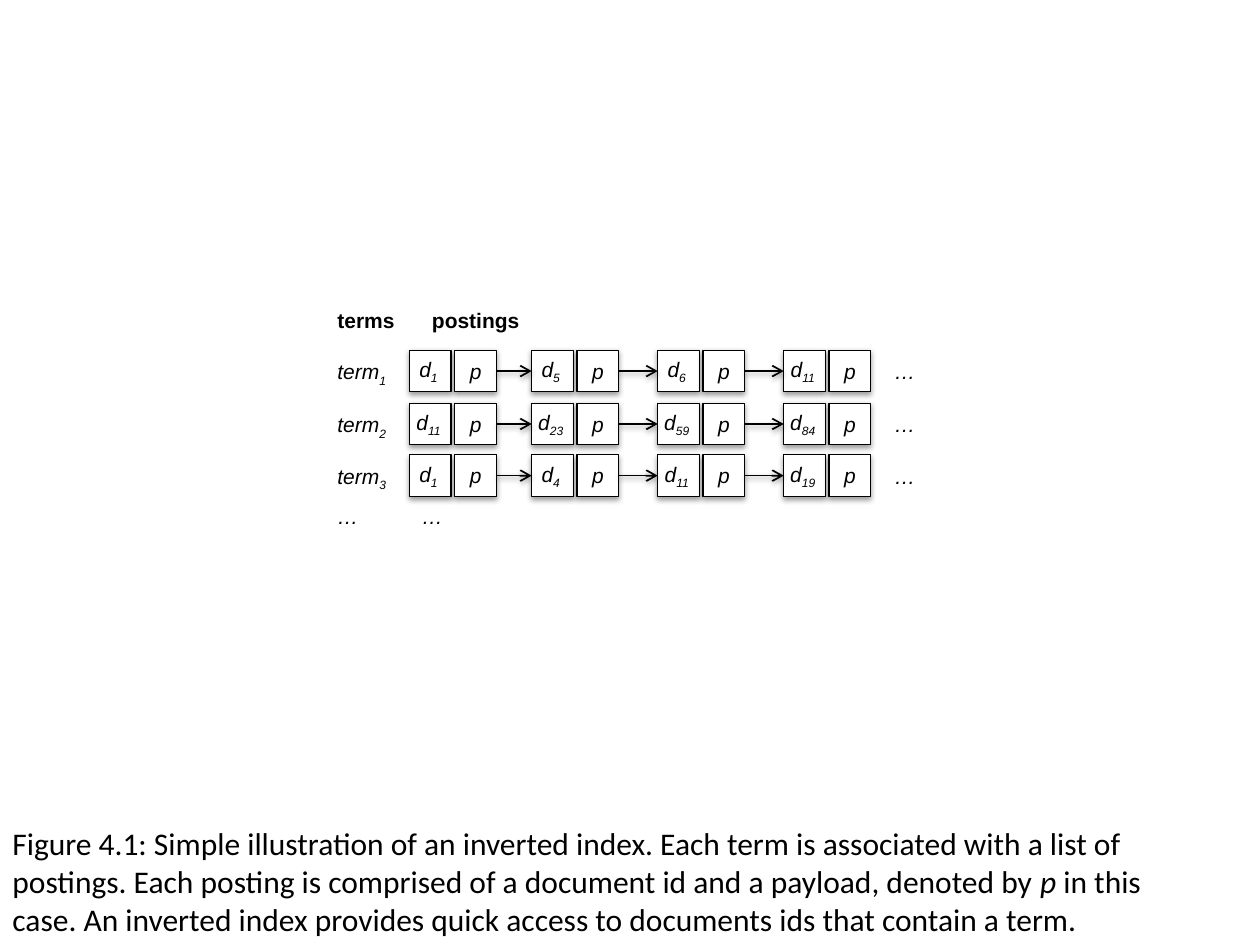
from lxml import etree
from pptx import Presentation
from pptx.dml.color import RGBColor
from pptx.enum.shapes import MSO_CONNECTOR, MSO_SHAPE
from pptx.enum.text import MSO_ANCHOR, MSO_AUTO_SIZE, PP_ALIGN
from pptx.oxml.ns import qn
from pptx.util import Inches, Pt

RECT = MSO_SHAPE.RECTANGLE
STRAIGHT = MSO_CONNECTOR.STRAIGHT
MIDDLE = MSO_ANCHOR.MIDDLE
GROW = MSO_AUTO_SIZE.SHAPE_TO_FIT_TEXT
CENTER = PP_ALIGN.CENTER

COLORS = {"ink": "000000", "cell": "FFFFFF"}
INK = RGBColor.from_string(COLORS["ink"])
CELL = RGBColor.from_string(COLORS["cell"])

ITALIC = {"name": "Arial", "size": Pt(12), "italic": True}
BOLD = {"name": "Arial", "size": Pt(12), "bold": True}
CAPTION = {"name": "Calibri", "size": Pt(18)}
CELL_FRAME = {"margin_left": 0, "margin_top": 0, "margin_right": 0,
              "margin_bottom": 0, "vertical_anchor": MIDDLE, "word_wrap": True}


def add_runs(p, runs, fmt):
    for text, extra in runs:
        r = p.add_run()
        r.text = text
        r.font.color.rgb = INK
        for key, value in {**fmt, **extra}.items():
            if key == "baseline":
                r.font._element.set("baseline", value)
            else:
                setattr(r.font, key, value)


def add_shadow(sp):
    effects = etree.SubElement(sp._element.spPr, qn("a:effectLst"))
    shadow = etree.SubElement(effects, qn("a:outerShdw"), blurRad="40000",
                              dist="20000", dir="5400000", rotWithShape="0")
    color = etree.SubElement(shadow, qn("a:srgbClr"), val=COLORS["ink"])
    etree.SubElement(color, qn("a:alpha"), val="38000")


prs = Presentation()
prs.slide_width, prs.slide_height = Inches(10), Inches(7.5)
s = prs.slides.add_slide(prs.slide_layouts[6])

SUB = {"baseline": "-25000"}
row_tops = [2.78, 3.2, 3.61]
column_lefts = [3.25, 4.22, 5.22, 6.22]
side, payload_offset = 0.33, 0.36
postings = [["1", "5", "6", "11"], ["11", "23", "59", "84"], ["1", "4", "11", "19"]]

labels = [
    (2.58, 2.39, 0.67, [("terms", {})], BOLD),
    (3.33, 2.39, 1.08, [("postings", {})], BOLD),
    (2.58, 3.95, 0.67, [("…", {})], ITALIC),
    (3.25, 3.95, 0.67, [("…", {})], ITALIC),
]
for number, top in enumerate(row_tops, 1):
    labels.append((2.58, top + 0.02, 0.67, [("term", {}), (str(number), SUB)], ITALIC))
    labels.append((7, top + 0.02, 0.67, [("…", {})], ITALIC))

for left, top, width, runs, fmt in labels:
    sp = s.shapes.add_textbox(Inches(left), Inches(top), Inches(width), Inches(0.3))
    tf = sp.text_frame
    tf.word_wrap = True
    tf.auto_size = GROW
    add_runs(tf.paragraphs[0], runs, fmt)

for top, doc_ids in zip(row_tops, postings):
    previous = None
    for left, doc_id in zip(column_lefts, doc_ids):
        pair = []
        for x, runs in [(left, [("d", {}), (doc_id + " ", SUB)]),
                        (left + payload_offset, [("p", {})])]:
            sp = s.shapes.add_shape(RECT, Inches(x), Inches(top), Inches(side), Inches(side))
            sp.fill.solid()
            sp.fill.fore_color.rgb = CELL
            sp.line.color.rgb = INK
            sp.line.width = Pt(0.75)
            add_shadow(sp)
            tf = sp.text_frame
            for key, value in CELL_FRAME.items():
                setattr(tf, key, value)
            p = tf.paragraphs[0]
            p.alignment = CENTER
            add_runs(p, runs, ITALIC)
            pair.append(sp)
        document, payload = pair
        if previous is not None:
            arrow = s.shapes.add_connector(STRAIGHT, 0, 0, 0, 0)
            arrow.begin_connect(previous, 3)
            arrow.end_connect(document, 1)
            arrow.line.color.rgb = INK
            arrow.line.width = Pt(1)
            ln = arrow._element.spPr.find(qn("a:ln"))
            etree.SubElement(ln, qn("a:tailEnd"), type="arrow")
            add_shadow(arrow)
        previous = payload

caption = [
    [("Figure 4.1: Simple illustration of an inverted index. Each term is associated with a list of", {})],
    [("postings. Each posting is comprised of a document id and a payload, denoted by ", {}),
     ("p", {"italic": True}), (" in this", {})],
    [("case. An inverted index provides quick access to documents ids that contain a term.", {})],
]
sp = s.shapes.add_textbox(Inches(0), Inches(6.49), Inches(9.28), Inches(1.01))
tf = sp.text_frame
tf.word_wrap = False
tf.auto_size = GROW
for i, runs in enumerate(caption):
    p = tf.add_paragraph() if i else tf.paragraphs[0]
    add_runs(p, runs, CAPTION)

prs.save("out.pptx")
